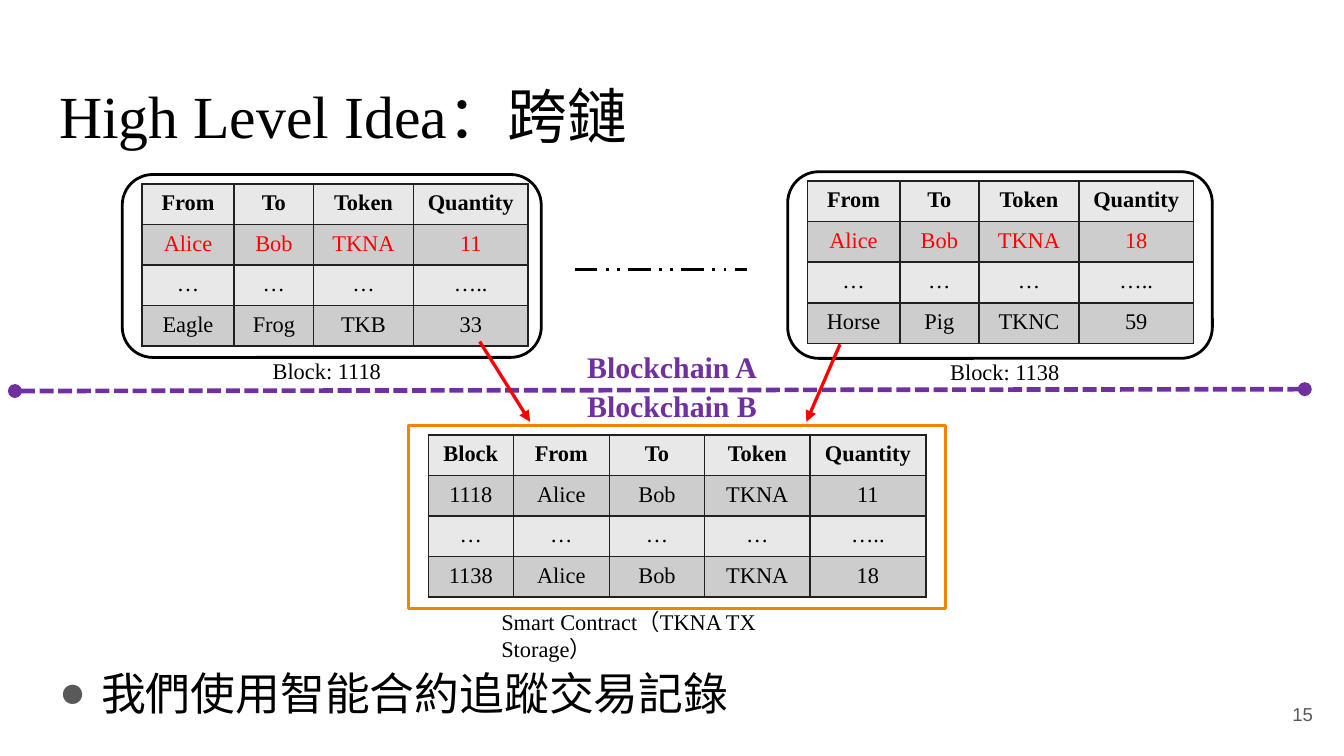
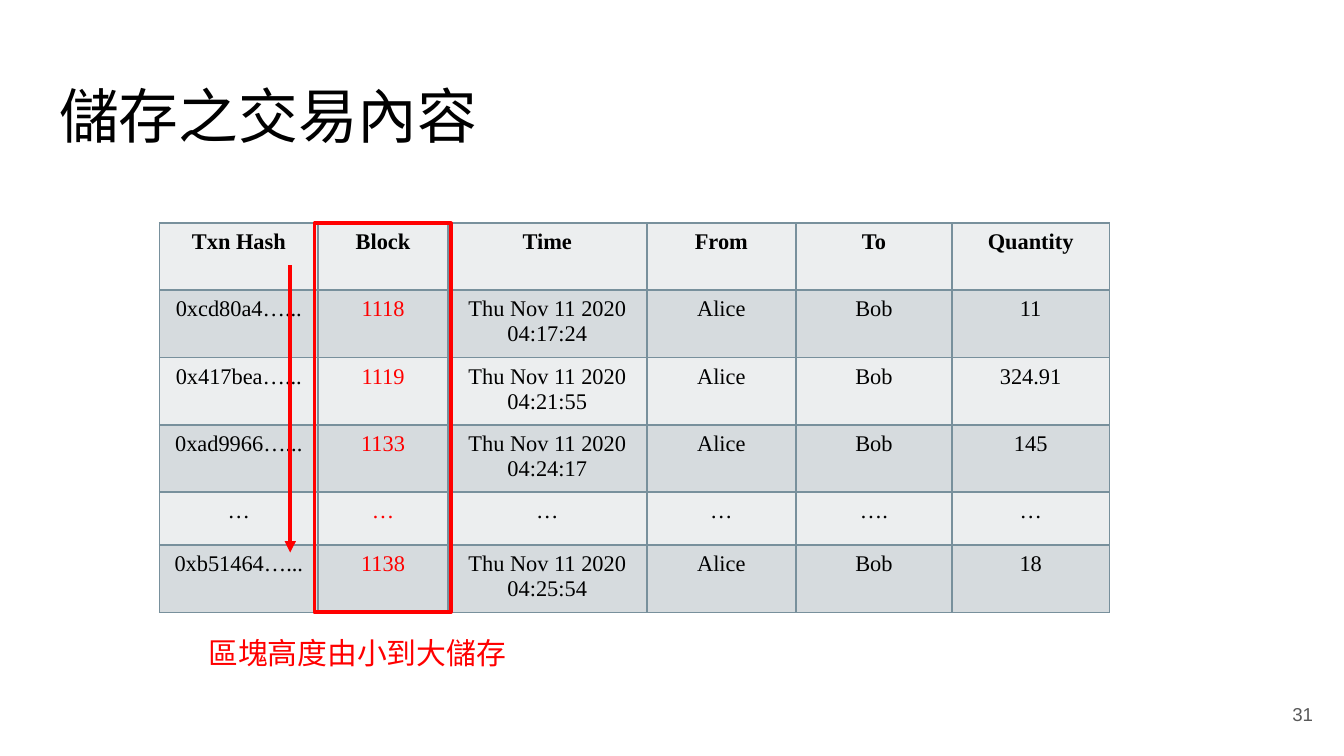
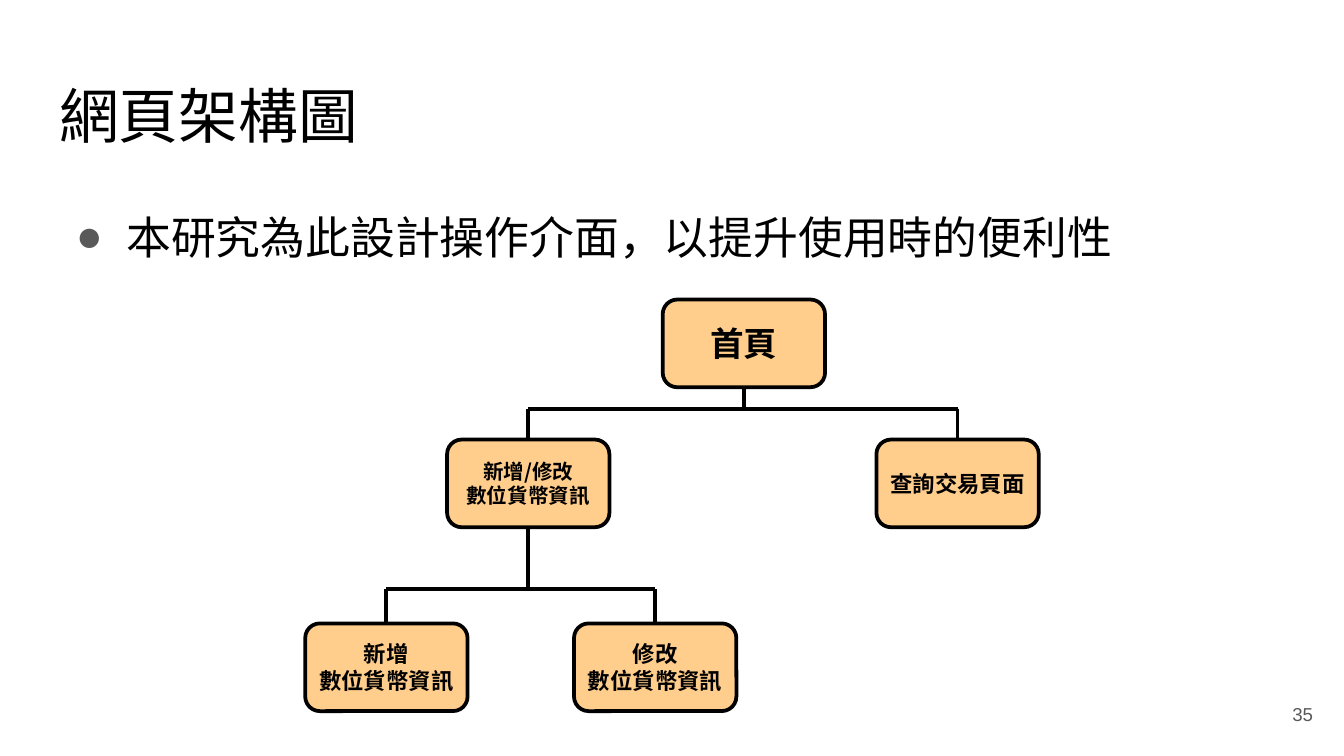
from typing import NamedTuple

from lxml.etree import SubElement
from pptx import Presentation
from pptx.dml.color import RGBColor
from pptx.enum.dml import MSO_LINE
from pptx.enum.shapes import MSO_CONNECTOR, MSO_SHAPE
from pptx.enum.text import MSO_ANCHOR, MSO_AUTO_SIZE, PP_ALIGN
from pptx.oxml.ns import qn
from pptx.util import Pt

SERIF, CJK, SANS = "Times New Roman", "Noto Sans CJK SC", "Arial"
BLACK, RED, PURPLE, ORANGE, GRAY = "000000", "FF0000", "7030A0", "EF8600", "595959"
NODE_FILL = "FFCD8C"
TITLE_AND_BODY, TITLE_ONLY = 1, 5


class Box(NamedTuple):
    left: float
    top: float
    width: float
    height: float

    @property
    def bottom(self):
        return self.top + self.height

    @property
    def center(self):
        return self.left + self.width / 2

    def in_points(self):
        return [Pt(length) for length in self]


class TableLook(NamedTuple):
    fills: tuple
    border: str


LEDGER_LOOK = TableLook(("E8E8E8", "CDCDCD"), "212121")
STORAGE_LOOK = TableLook(("ECEEEF", "D6DBDE"), "78909C")


def rgb(color):
    return RGBColor.from_string(color)


def style(paragraph, size, color=BLACK, face=CJK, bold=False, align=PP_ALIGN.LEFT):
    paragraph.alignment = align
    font = paragraph.font
    font.size, font.bold, font.name = Pt(size), bold, face
    font.color.rgb = rgb(color)
    SubElement(font._element, qn("a:ea"), typeface=CJK)


def set_insets(frame, inset):
    frame.margin_left = frame.margin_right = Pt(inset)
    frame.margin_top = frame.margin_bottom = Pt(inset)


def add_label(slide, box, text, size, wrap=True, **look):
    frame = slide.shapes.add_textbox(*box.in_points()).text_frame
    frame.word_wrap = wrap
    frame.auto_size = MSO_AUTO_SIZE.SHAPE_TO_FIT_TEXT
    frame.text = text
    style(frame.paragraphs[0], size, **look)


def add_outline(slide, form, box, color, weight, fill=None):
    outline = slide.shapes.add_shape(form, *box.in_points())
    outline.shadow.inherit = False
    if fill:
        outline.fill.solid()
        outline.fill.fore_color.rgb = rgb(fill)
    else:
        outline.fill.background()
    outline.line.color.rgb = rgb(color)
    outline.line.width = Pt(weight)
    return outline


def add_line(slide, start, end, color, weight, dash=None, head=None, tail=None):
    ends = [Pt(length) for length in (*start, *end)]
    connector = slide.shapes.add_connector(MSO_CONNECTOR.STRAIGHT, *ends)
    line = connector.line
    line.color.rgb = rgb(color)
    line.width = Pt(weight)
    if dash:
        line.dash_style = dash
    for tag, kind in (("a:headEnd", head), ("a:tailEnd", tail)):
        if kind:
            SubElement(line._get_or_add_ln(), qn(tag), type=kind)
    SubElement(connector._element.spPr, qn("a:effectLst"))


def add_borders(cell, color):
    properties = cell._tc.get_or_add_tcPr()
    for side in "LRTB":
        edge = SubElement(properties, qn(f"a:ln{side}"), w=str(Pt(1)))
        SubElement(SubElement(edge, qn("a:solidFill")), qn("a:srgbClr"), val=color)


def add_ledger(slide, left, top, rows, widths, heights, look, is_red):
    """Banded table with a bold first row; is_red(row, column) picks red cells."""
    box = Box(left, top, sum(widths), sum(heights))
    table = slide.shapes.add_table(len(rows), len(widths), *box.in_points()).table
    for column, width in zip(table.columns, widths):
        column.width = Pt(width)
    for r, (entries, height) in enumerate(zip(rows, heights)):
        table.rows[r].height = Pt(height)
        for c, entry in enumerate(entries):
            cell = table.cell(r, c)
            cell.text = entry
            style(cell.text_frame.paragraphs[0], 12, RED if is_red(r, c) else BLACK,
                  SERIF, r == 0, PP_ALIGN.CENTER)
            add_borders(cell, look.border)
            cell.fill.solid()
            cell.fill.fore_color.rgb = rgb(look.fills[r % 2])
    return box


def fill_placeholder(placeholder, box, text, anchor=MSO_ANCHOR.TOP):
    placeholder.left, placeholder.top, placeholder.width, placeholder.height = box.in_points()
    frame = placeholder.text_frame
    frame.text = text
    frame.word_wrap = True
    frame.auto_size = MSO_AUTO_SIZE.NONE
    frame.vertical_anchor = anchor
    set_insets(frame, 7.2)
    return frame.paragraphs[0]


def add_titled_slide(prs, layout, title, number):
    slide = prs.slides.add_slide(prs.slide_layouts[layout])
    style(fill_placeholder(slide.shapes.title, Box(24.5, 35, 671, 45), title), 32, face=SERIF)
    frame = slide.shapes.add_textbox(*Box(667.5, 367, 43, 31).in_points()).text_frame
    frame.text = number
    frame.word_wrap = True
    frame.vertical_anchor = MSO_ANCHOR.MIDDLE
    set_insets(frame, 7.2)
    style(frame.paragraphs[0], 10, GRAY, SANS, align=PP_ALIGN.RIGHT)
    return slide


def fill_bullet(slide, box, text, margin, hanging):
    paragraph = fill_placeholder(slide.placeholders[1], box, text)
    properties = paragraph._p.get_or_add_pPr()
    properties.set("marL", str(Pt(margin)))
    properties.set("indent", str(Pt(-hanging)))
    SubElement(SubElement(properties, qn("a:buClr")), qn("a:srgbClr"), val=GRAY)
    SubElement(properties, qn("a:buChar"), char="●")
    paragraph.line_spacing = 1.5
    paragraph.space_before = Pt(0)
    style(paragraph, 24)


def add_ledger_panel(slide, box, frame_look, rows, widths, caption, caption_at,
                     is_red=lambda row, column: False):
    """Framed ledger with a caption below; caption_at is (offset from left, width)."""
    add_ledger(slide, box.left + 10.5, box.top + 5, rows, widths, [21.75] * len(rows),
               LEDGER_LOOK, is_red)
    form, color, weight = frame_look
    add_outline(slide, form, box, color, weight)
    offset, width = caption_at
    add_label(slide, Box(box.left + offset, box.bottom - 3.5, width, 22), caption, 12, face=SERIF)


def build_cross_chain(prs):
    slide = add_titled_slide(prs, TITLE_AND_BODY, "High Level Idea：跨鏈", "15")
    add_line(slide, (8, 209.5), (699, 208.5), PURPLE, 2.5, MSO_LINE.SQUARE_DOT, "oval", "oval")
    for chain, top in (("Blockchain A", 183), ("Blockchain B", 204)):
        add_label(slide, Box(307.5, top, 107, 27), chain, 16, wrap=False,
                  color=PURPLE, face=SERIF, bold=True)

    header = ["From", "To", "Token", "Quantity"]
    gap = ["…", "…", "…", "….."]
    block_frame = (MSO_SHAPE.ROUNDED_RECTANGLE, BLACK, 1.5)
    blocks = [
        (Box(65.5, 93.5, 224.5, 98), "1118", "11", ["Eagle", "Frog", "TKB", "33"], 73.5),
        (Box(422, 92, 227.5, 100), "1138", "18", ["Horse", "Pig", "TKNC", "59"], 80),
    ]
    for box, block, quantity, last_row, offset in blocks:
        rows = [header, ["Alice", "Bob", "TKNA", quantity], gap, last_row]
        add_ledger_panel(slide, box, block_frame, rows, [49.5, 42.5, 53.5, 61.5],
                         f"Block: {block}", (offset, 80), lambda row, column: row == 1)
    add_line(slide, (308, 144.5), (400, 144.5), BLACK, 1.5, MSO_LINE.DASH_DOT_DOT)

    stored = [["Block", *header], ["1118", "Alice", "Bob", "TKNA", "11"],
              ["…", *gap], ["1138", "Alice", "Bob", "TKNA", "18"]]
    add_ledger_panel(slide, Box(219, 228, 287.5, 98), (MSO_SHAPE.RECTANGLE, ORANGE, 1.75),
                     stored, [45.5, 51.5, 51, 56.5, 62],
                     "Smart Contract（TKNA TX Storage）", (42.5, 202))
    for start, end in (((257, 183), (284, 226)), ((450, 184.5), (432, 226))):
        add_line(slide, start, end, RED, 1.75, tail="triangle")
    fill_bullet(slide, Box(24.5, 335, 403, 56), "我們使用智能合約追蹤交易記錄", 22.5, 22.5)


def build_stored_transactions(prs):
    slide = add_titled_slide(prs, TITLE_ONLY, "儲存之交易內容", "31")
    rows = [["Txn Hash", "Block", "Time", "From", "To", "Quantity"]]
    transactions = [
        ("0xcd80a4…...", "1118", "04:17:24", "11"),
        ("0x417bea…...", "1119", "04:21:55", "324.91"),
        ("0xad9966…...", "1133", "04:24:17", "145"),
        ("0xb51464…...", "1138", "04:25:54", "18"),
    ]
    for txn_hash, block, time, quantity in transactions:
        rows.append([txn_hash, block, f"Thu Nov 11 2020 {time}", "Alice", "Bob", quantity])
    rows.insert(4, ["…", "…", "…", "…", "….", "…"])
    widths = [85, 69.5, 106.5, 80, 83.5, 84.5]
    heights = [36, 36, 36, 36, 28.5, 36]
    ledger = add_ledger(slide, 85.5, 119.5, rows, widths, heights, STORAGE_LOOK,
                        lambda row, column: row > 0 and column == 1)

    block_column = Box(ledger.left + widths[0] - 2, ledger.top, widths[1] + 3.5, ledger.height)
    add_outline(slide, MSO_SHAPE.RECTANGLE, block_column, RED, 2)
    arrow_x = block_column.left - 13
    add_line(slide, (arrow_x, ledger.top + 22.5), (arrow_x, ledger.bottom - 32),
             RED, 2, tail="triangle")
    add_label(slide, Box(104.5, ledger.bottom + 8.5, 176, 27), "區塊高度由小到大儲存", 16,
              wrap=False, color=RED)


def add_page_node(slide, left, top, lines, size):
    box = Box(left, top, 87, 47)
    frame = add_outline(slide, MSO_SHAPE.ROUNDED_RECTANGLE, box, BLACK, 2, NODE_FILL).text_frame
    frame.text = "\n".join(lines)
    frame.word_wrap = True
    frame.vertical_anchor = MSO_ANCHOR.MIDDLE
    set_insets(frame, 0)
    for paragraph in frame.paragraphs:
        style(paragraph, size, bold=True, align=PP_ALIGN.CENTER)
    return box


def add_branch(slide, parent, children, rail):
    """Join a parent to its children through a level line at height rail."""
    centers = [child.center for child in children]
    add_line(slide, (parent.center, parent.bottom), (parent.center, rail), BLACK, 2)
    add_line(slide, (min(centers), rail), (max(centers), rail), BLACK, 2)
    for child in children:
        add_line(slide, (child.center, rail), (child.center, child.top), BLACK, 2)


def build_site_map(prs):
    slide = add_titled_slide(prs, TITLE_AND_BODY, "網頁架構圖", "35")
    fill_bullet(slide, Box(24.5, 90.5, 671, 290), "本研究為此設計操作介面，以提升使用時的便利性",
                36, 27)
    currency = "數位貨幣資訊"
    home = add_page_node(slide, 355, 160.5, ["首頁"], 18)
    manage = add_page_node(slide, 239.5, 235.5, ["新增/修改", currency], 11)
    query = add_page_node(slide, 469.5, 235.5, ["查詢交易頁面"], 12)
    create = add_page_node(slide, 163.5, 334, ["新增", currency], 12)
    edit = add_page_node(slide, 307.5, 334, ["修改", currency], 12)
    add_branch(slide, home, [manage, query], 219)
    add_branch(slide, manage, [create, edit], 315.5)


def main():
    prs = Presentation()
    prs.slide_width, prs.slide_height = Pt(720), Pt(405)
    build_cross_chain(prs)
    build_stored_transactions(prs)
    build_site_map(prs)
    prs.save("out.pptx")


if __name__ == "__main__":
    main()
